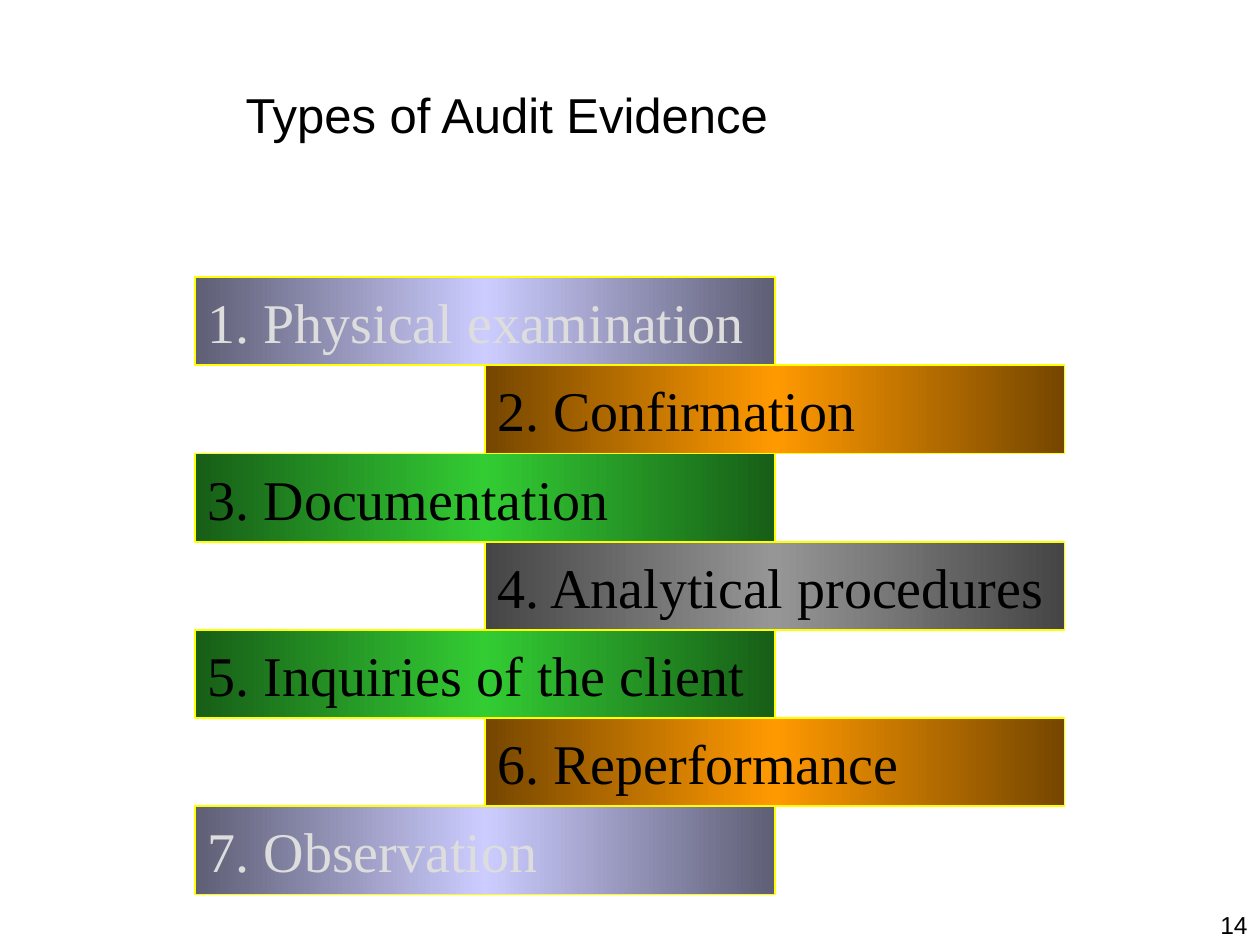
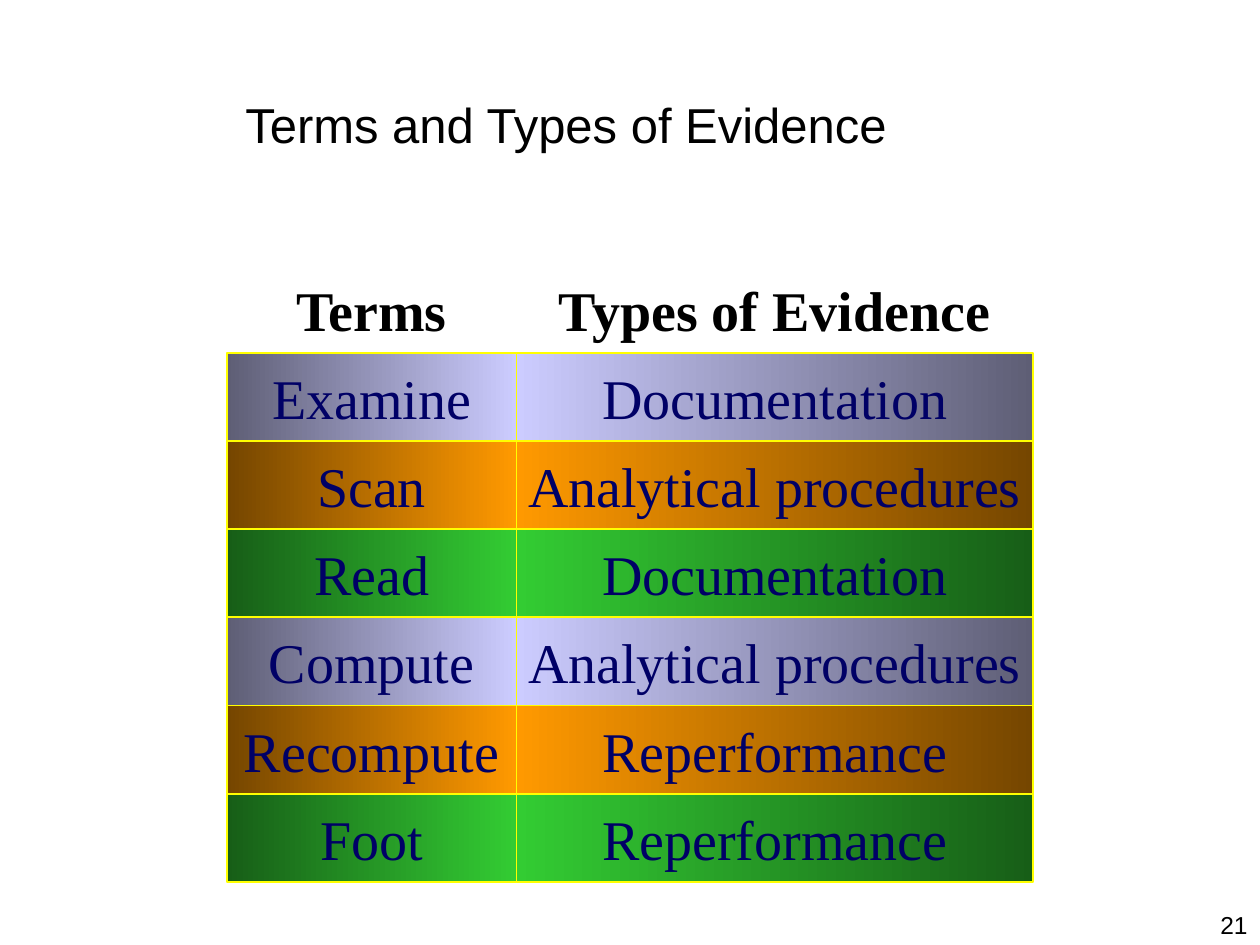
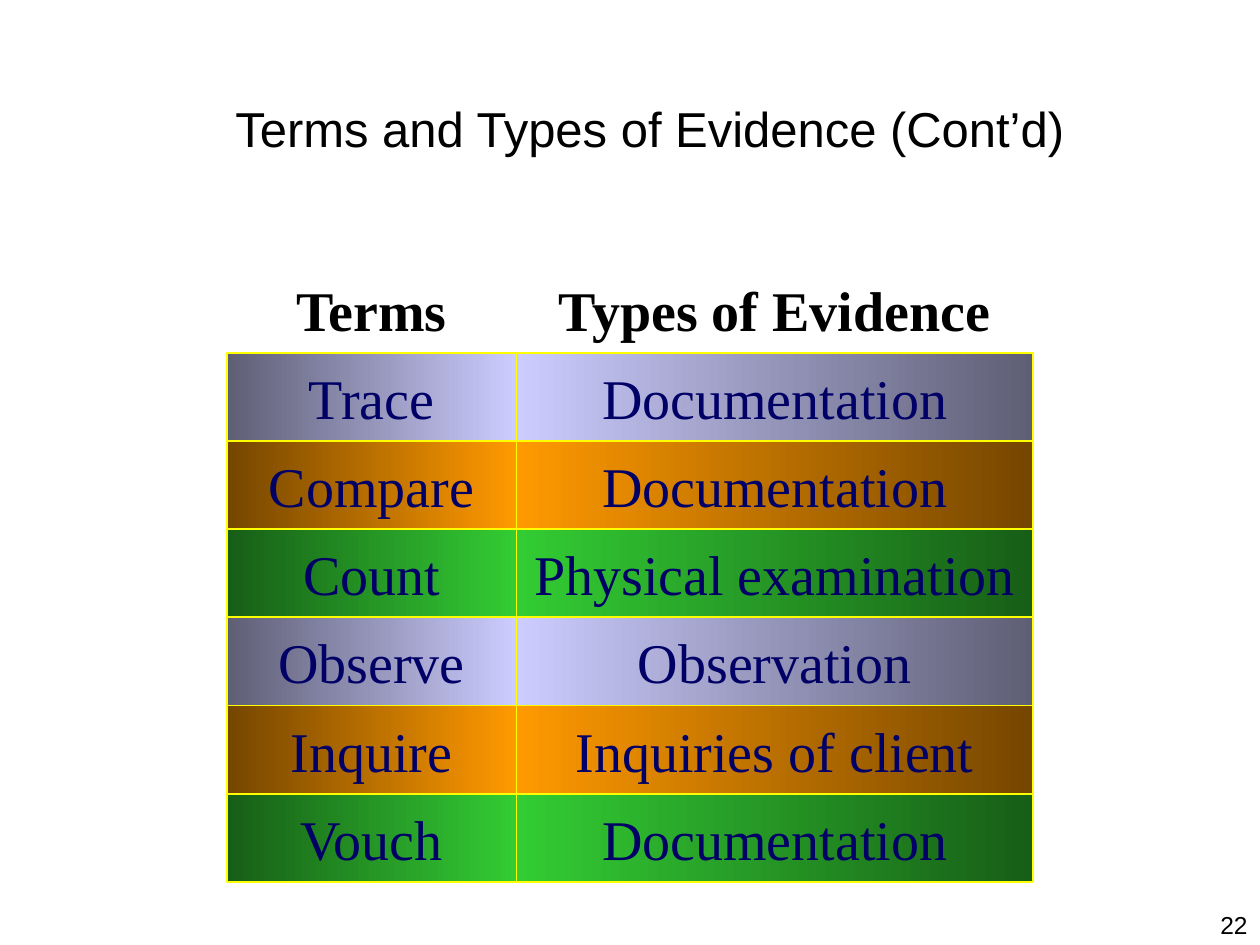
import copy
from dataclasses import dataclass

import pptx
import pptx.dml.color
import pptx.enum.shapes
import pptx.enum.text
import pptx.oxml.ns
import pptx.shapes.autoshape
import pptx.slide
import pptx.util

Inches = pptx.util.Inches
RGBColor = pptx.dml.color.RGBColor
ALIGN = pptx.enum.text.PP_ALIGN
ANCHOR = pptx.enum.text.MSO_ANCHOR

# Shared colours and fonts
BLACK = RGBColor(0x00, 0x00, 0x00)
NAVY = RGBColor(0x00, 0x00, 0x66)
PALE_GREY = RGBColor(0xDD, 0xDD, 0xDD)
YELLOW = RGBColor(0xFF, 0xFF, 0x00)
SANS = "Arial"
SERIF = "Times New Roman"


@dataclass(frozen=True)
class Shade:
    dark: RGBColor
    light: RGBColor
    text: RGBColor = BLACK


@dataclass(frozen=True)
class Box:
    left: float
    top: float
    width: float
    height: float


@dataclass(frozen=True)
class Style:
    font: str
    size: int
    color: RGBColor = BLACK
    bold: bool = False
    align: ALIGN = ALIGN.LEFT
    anchor: ANCHOR = ANCHOR.MIDDLE
    wrap: bool = True


@dataclass(frozen=True)
class TermsSlide:
    title: str
    title_box: Box
    number: int
    rows: list[tuple[str, str]]


LAVENDER = Shade(RGBColor(0x5E, 0x5E, 0x75), RGBColor(0xCC, 0xCC, 0xFF), PALE_GREY)
ORANGE = Shade(RGBColor(0x75, 0x46, 0x00), RGBColor(0xFF, 0x99, 0x00))
GREEN = Shade(RGBColor(0x17, 0x5E, 0x17), RGBColor(0x33, 0xCC, 0x33))
GREY = Shade(RGBColor(0x45, 0x45, 0x45), RGBColor(0x96, 0x96, 0x96))

TITLE = Style(SANS, 28)
PAGE_NUMBER = Style(SANS, 14, align=ALIGN.RIGHT, anchor=ANCHOR.TOP)
HEADING = Style(SERIF, 32, bold=True, align=ALIGN.CENTER, wrap=False)
CELL = Style(SERIF, 32, NAVY, align=ALIGN.CENTER, wrap=False)

# Grid: every bar and row has the same height
ROW_HEIGHT = 0.7
BAR_TOP, BAR_WIDTH = 2.2, 4.6
BAR_LEFTS = (1.55, 3.85)
HEADING_TOP = 2.1
COLUMNS = ((1.8, 2.3), (4.1, 4.1))
HEADINGS = ("Terms", "Types of Evidence")
ROW_SHADES = (LAVENDER, ORANGE, GREEN)
PAGE_NUMBER_BOX = Box(7.92, 7.17, 2.08, 0.33)

EVIDENCE_TYPES = [
    ("Physical examination", LAVENDER),
    ("Confirmation", ORANGE),
    ("Documentation", GREEN),
    ("Analytical procedures", GREY),
    ("Inquiries of the client", GREEN),
    ("Reperformance", ORANGE),
    ("Observation", LAVENDER),
]

TERMS_SLIDES = [
    TermsSlide("Terms and Types of Evidence", Box(1.85, 0.36, 7.87, 1.25), 21, [
        ("Examine", "Documentation"),
        ("Scan", "Analytical procedures"),
        ("Read", "Documentation"),
        ("Compute", "Analytical procedures"),
        ("Recompute", "Reperformance"),
        ("Foot", "Reperformance"),
    ]),
    TermsSlide("Terms and Types of Evidence (Cont’d)", Box(1.77, 0.28, 7.95, 1.47), 22, [
        ("Trace", "Documentation"),
        ("Compare", "Documentation"),
        ("Count", "Physical examination"),
        ("Observe", "Observation"),
        ("Inquire", "Inquiries of client"),
        ("Vouch", "Documentation"),
    ]),
]


def lengths(box: Box) -> list[pptx.util.Length]:
    return [Inches(v) for v in (box.left, box.top, box.width, box.height)]


def write(sp: pptx.shapes.autoshape.Shape, text: str, style: Style) -> None:
    tf = sp.text_frame
    tf.text = text
    tf.word_wrap = style.wrap
    tf.vertical_anchor = style.anchor
    p = tf.paragraphs[0]
    p.alignment = style.align
    font = p.runs[0].font
    font.name, font.size, font.bold = style.font, pptx.util.Pt(style.size), style.bold
    font.color.rgb = style.color


def add_text(s: pptx.slide.Slide, box: Box, text: str, style: Style) -> None:
    write(s.shapes.add_textbox(*lengths(box)), text, style)


def add_bar(s: pptx.slide.Slide, box: Box, text: str, style: Style,
            colors: list[RGBColor]) -> None:
    """Yellow-edged rectangle whose colours run evenly from right to left."""
    sp = s.shapes.add_shape(pptx.enum.shapes.MSO_SHAPE.RECTANGLE, *lengths(box))
    sp.shadow.inherit = False
    sp.line.color.rgb = YELLOW
    sp.line.width = pptx.util.Pt(1)
    sp.fill.gradient()
    sp.fill.gradient_angle = 180
    # A new gradient has two stops; add the missing ones
    gs_list = sp._element.spPr.find(".//" + pptx.oxml.ns.qn("a:gsLst"))
    while len(gs_list) < len(colors):
        gs_list.append(copy.deepcopy(gs_list[0]))
    for i, (stop, color) in enumerate(zip(sp.fill.gradient_stops, colors)):
        stop.position = i / (len(colors) - 1)
        stop.color.rgb = color
    write(sp, text, style)


def add_slide(prs: pptx.presentation.Presentation, title: str, title_box: Box,
              number: int) -> pptx.slide.Slide:
    s = prs.slides.add_slide(prs.slide_layouts[6])
    add_text(s, title_box, title, TITLE)
    add_text(s, PAGE_NUMBER_BOX, str(number), PAGE_NUMBER)
    return s


def add_types_slide(prs: pptx.presentation.Presentation) -> None:
    s = add_slide(prs, "Types of Audit Evidence", Box(1.85, 0.28, 7.48, 1.25), 14)
    for i, (name, shade) in enumerate(EVIDENCE_TYPES):
        box = Box(BAR_LEFTS[i % 2], BAR_TOP + i * ROW_HEIGHT, BAR_WIDTH, ROW_HEIGHT)
        add_bar(s, box, f"{i + 1}. {name}", Style(SERIF, 32, shade.text),
                [shade.dark, shade.light, shade.dark])


def add_terms_slide(prs: pptx.presentation.Presentation, terms: TermsSlide) -> None:
    s = add_slide(prs, terms.title, terms.title_box, terms.number)
    for (left, width), heading in zip(COLUMNS, HEADINGS):
        add_text(s, Box(left, HEADING_TOP, width, ROW_HEIGHT), heading, HEADING)
    for i, row in enumerate(terms.rows):
        shade = ROW_SHADES[i % len(ROW_SHADES)]
        top = HEADING_TOP + (i + 1) * ROW_HEIGHT
        # The light ends meet at the line between the columns
        ramps = ([shade.light, shade.dark], [shade.dark, shade.light])
        for (left, width), text, ramp in zip(COLUMNS, row, ramps):
            add_bar(s, Box(left, top, width, ROW_HEIGHT), text, CELL, ramp)


def main() -> None:
    prs = pptx.Presentation()
    prs.slide_width, prs.slide_height = Inches(10), Inches(7.5)
    add_types_slide(prs)
    for terms in TERMS_SLIDES:
        add_terms_slide(prs, terms)
    prs.save("out.pptx")


if __name__ == "__main__":
    main()
